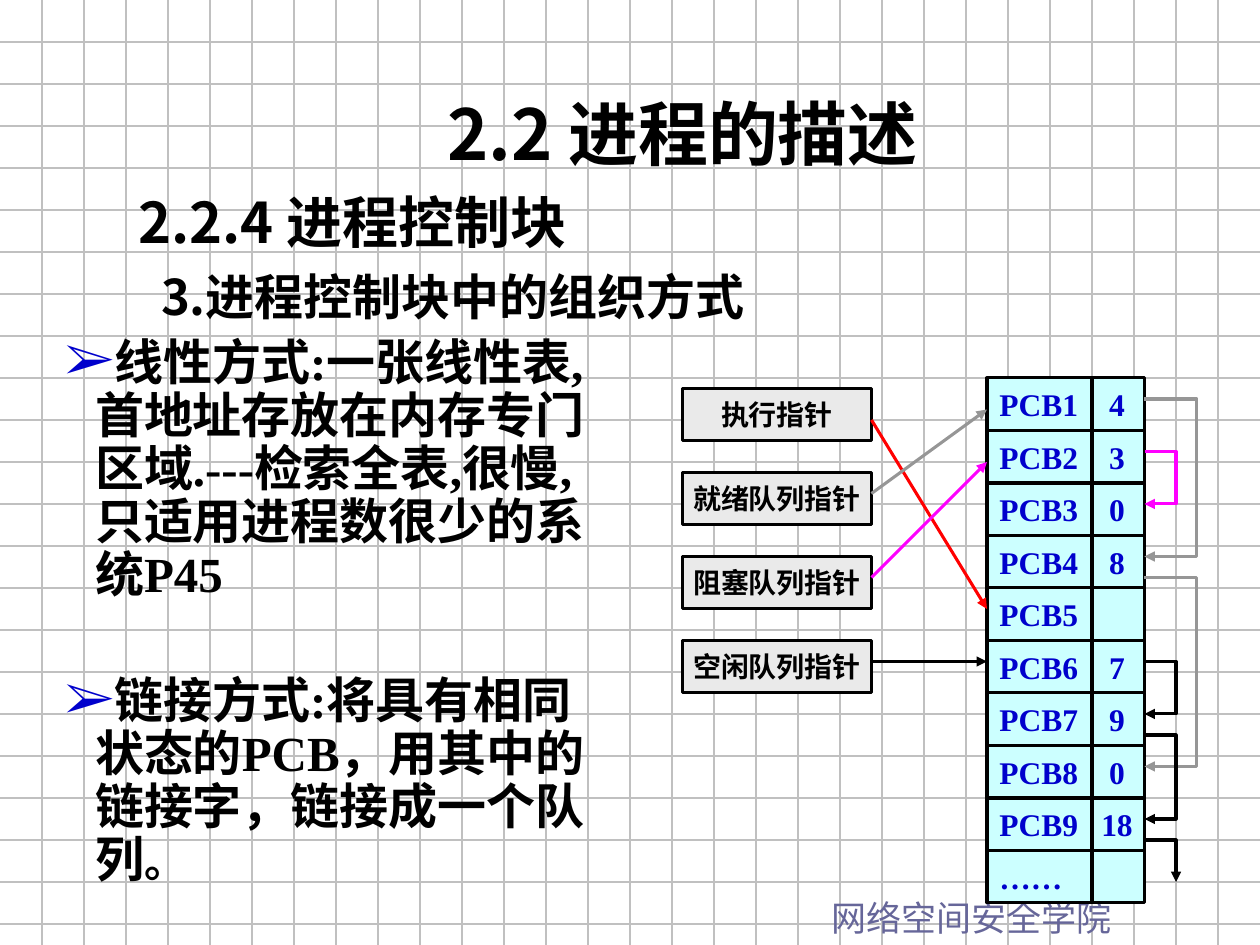
from lxml import etree
from pptx import Presentation
from pptx.dml.color import RGBColor
from pptx.enum.shapes import MSO_CONNECTOR, MSO_SHAPE
from pptx.enum.text import MSO_ANCHOR, PP_ALIGN
from pptx.oxml.ns import qn
from pptx.util import Cm, Pt

LEFT, CENTER = PP_ALIGN.LEFT, PP_ALIGN.CENTER
STRAIGHT = MSO_CONNECTOR.STRAIGHT
RECTANGLE = MSO_SHAPE.RECTANGLE
TOP, MIDDLE = MSO_ANCHOR.TOP, MSO_ANCHOR.MIDDLE

COLORS = {
    "black": "000000", "grid": "C0C0C0", "footer": "666699",
    "blue": "0000CC", "cyan": "CCFFFF", "pale": "EAEAEA",
    "red": "FF0000", "gray": "969696", "magenta": "FF00FF",
}
TIMES, SANS_JP, SANS_SC = "Times New Roman", "Noto Sans CJK JP", "Noto Sans CJK SC"
EAST_ASIAN = {TIMES: SANS_SC, SANS_JP: SANS_JP, SANS_SC: SANS_SC}

TITLE = "2.2 进程的描述"
FOOTER = "网络空间安全学院"
# Each heading: size, left margin in cm, spans of (text, font)
HEADINGS = [
    (32, 0, [("2.2.4 ", SANS_SC), ("进程控制块", TIMES)]),
    (28, 0.46, [("3.进程控制块中的", SANS_SC), ("组织方式", TIMES)]),
]
# Each point: space before, spans of (text, size)
POINTS = [
    (0, [("线性方式:一张线性表,首地址存放在内存专门区域.---检索全表,很慢,只适用进程数很少的系统P45", 28)]),
    (42, [("链接方式:将具有相同状态的PCB，用其中的链接字，链接成一个队列", 28), ("。", 24)]),
]
POINT_LINE_HEIGHT = 30.3

# The drawing sits on a lattice of UNIT steps, twelve to the inch.
UNIT = Cm(2.54) / 12
SLIDE_WIDTH, SLIDE_HEIGHT, GRID_STEP = 120, 90, 4
POINTER_LEFT, POINTER_TOP, POINTER_WIDTH, POINTER_STEP = 65, 37, 18, 8
BLOCK_LEFT, BLOCK_TOP, BLOCK_WIDTH, DIVIDER = 94, 36, 15, 104
ROW_HEIGHT = 5
BLOCK_RIGHT = BLOCK_LEFT + BLOCK_WIDTH

POINTERS = ["执行指针", "就绪队列指针", "阻塞队列指针", "空闲队列指针"]
BLOCKS = [("PCB1", "4"), ("PCB2", "3"), ("PCB3", "0"), ("PCB4", "8"), ("PCB5", ""),
          ("PCB6", "7"), ("PCB7", "9"), ("PCB8", "0"), ("PCB9", "18"), ("……", "")]
# Start height, end height, colour
POINTER_ARROWS = [(40, 58, "red"), (47, 39, "gray"), (55, 44, "magenta"), (63, 63, "black")]
# Start height, end height, reach to the right, colour
LINKS = [(38, 53, 5, "gray"), (43, 48, 3, "magenta"), (55, 73, 5, "gray"),
         (63, 68, 3, "black"), (70, 78, 3, "black")]
LAST_LINK = (80, 84, 3, "black")


def units(*values):
    return [round(value * UNIT) for value in values]


def rgb(name):
    return RGBColor.from_string(COLORS[name])


def add_span(para, text, font_name, size, color="black", bold=True):
    span = para.add_run()
    span.text = text
    font = span.font
    font.name, font.size, font.bold = font_name, Pt(size), bold
    font.color.rgb = rgb(color)
    east_asian = etree.SubElement(span._r.get_or_add_rPr(), qn("a:ea"))
    east_asian.set("typeface", EAST_ASIAN[font_name])


def set_indent(para, margin, first_line=0):
    properties = para._p.get_or_add_pPr()
    properties.set("marL", str(Cm(margin)))
    properties.set("indent", str(Cm(first_line)))
    return properties


def add_bullet(properties):
    properties.set("hangingPunct", "0")
    color = etree.SubElement(properties, qn("a:buClr"))
    etree.SubElement(color, qn("a:srgbClr")).set("val", COLORS["blue"])
    etree.SubElement(properties, qn("a:buSzPct")).set("val", "110000")
    etree.SubElement(properties, qn("a:buFont")).set("typeface", TIMES)
    etree.SubElement(properties, qn("a:buChar")).set("char", "➢")


def add_center_tab(para, position):
    tabs = etree.SubElement(para._p.get_or_add_pPr(), qn("a:tabLst"))
    tab = etree.SubElement(tabs, qn("a:tab"))
    tab.set("pos", str(Cm(position)))
    tab.set("algn", "ctr")


def add_text_box(slide, left, top, width, height):
    frame = slide.shapes.add_textbox(*units(left, top, width, height)).text_frame
    frame.word_wrap = True
    frame.vertical_anchor = TOP
    return frame


def style_line(shape, color, width=1.75, arrow=False):
    shape.line.color.rgb = rgb(color)
    shape.line.width = Pt(width)
    if arrow:
        line = shape._element.spPr.find(qn("a:ln"))
        etree.SubElement(line, qn("a:tailEnd")).set("type", "triangle")


def add_line(slide, start, end, color, width=1.75, arrow=False):
    line = slide.shapes.add_connector(STRAIGHT, *units(*start, *end))
    style_line(line, color, width, arrow)
    etree.SubElement(line._element.spPr, qn("a:effectLst"))


def add_bent_arrow(slide, points, color):
    corners = [units(*point) for point in points]
    builder = slide.shapes.build_freeform(*corners[0])
    builder.add_line_segments(corners[1:], close=False)
    arrow = builder.convert_to_shape()
    arrow.shadow.inherit = False
    arrow.fill.background()
    style_line(arrow, color, arrow=True)


def add_cell(slide, left, top, width, fill, align):
    """Draw one outlined rectangle and return its paragraph."""
    box = slide.shapes.add_shape(RECTANGLE, *units(left, top, width, ROW_HEIGHT))
    box.shadow.inherit = False
    box.fill.solid()
    box.fill.fore_color.rgb = rgb(fill)
    style_line(box, "black")
    frame = box.text_frame
    frame.word_wrap = align == LEFT
    frame.margin_right = 0 if align == LEFT else frame.margin_left
    frame.vertical_anchor = MIDDLE
    para = frame.paragraphs[0]
    para.alignment = align
    return para


def add_grid(slide):
    for y in range(GRID_STEP, SLIDE_HEIGHT, GRID_STEP):
        add_line(slide, (0, y), (SLIDE_WIDTH, y), "grid", 0.75)
    for x in range(GRID_STEP, SLIDE_WIDTH, GRID_STEP):
        add_line(slide, (x, 0), (x, SLIDE_HEIGHT), "grid", 0.75)


def add_texts(slide):
    footer = add_text_box(slide, 78, 84.8, 42, 5.2).paragraphs[0]
    add_span(footer, FOOTER, SANS_JP, 20, "footer", bold=False)

    title = add_text_box(slide, 17, 8, 96, 9.2).paragraphs[0]
    title.alignment = CENTER
    add_span(title, TITLE, SANS_JP, 40)

    frame = add_text_box(slide, 12, 16, 103, 15.6)
    for index, (size, margin, spans) in enumerate(HEADINGS):
        para = frame.add_paragraph() if index else frame.paragraphs[0]
        set_indent(para, margin)
        para.line_spacing = 1.2
        for text, font_name in spans:
            add_span(para, text, font_name, size)

    frame = add_text_box(slide, 5, 31.5, 55, 48.7)
    for index, (space, spans) in enumerate(POINTS):
        para = frame.add_paragraph() if index else frame.paragraphs[0]
        add_bullet(set_indent(para, 0.61, -0.61))
        para.line_spacing = Pt(POINT_LINE_HEIGHT)
        if space:
            para.space_before = Pt(space)
        for text, size in spans:
            add_span(para, text, TIMES, size)


def add_diagram(slide):
    for index, label in enumerate(POINTERS):
        top = POINTER_TOP + index * POINTER_STEP
        para = add_cell(slide, POINTER_LEFT, top, POINTER_WIDTH, "pale", CENTER)
        add_span(para, label, TIMES, 16)

    for index, (name, link) in enumerate(BLOCKS):
        top = BLOCK_TOP + index * ROW_HEIGHT
        para = add_cell(slide, BLOCK_LEFT, top, BLOCK_WIDTH, "cyan", LEFT)
        if link:
            add_center_tab(para, 2.37)
        add_span(para, f"{name}\t{link}" if link else name, TIMES, 18, "blue")

    bottom = BLOCK_TOP + len(BLOCKS) * ROW_HEIGHT
    add_line(slide, (DIVIDER, BLOCK_TOP), (DIVIDER, bottom), "black")
    for start, end, color in POINTER_ARROWS:
        add_line(slide, (POINTER_LEFT + POINTER_WIDTH, start), (BLOCK_LEFT, end), color, arrow=True)
    for link in LINKS + [LAST_LINK]:
        start, end, reach, color = link
        outer = BLOCK_RIGHT + reach
        points = [(BLOCK_RIGHT, start), (outer, start), (outer, end)]
        if link != LAST_LINK:
            points.append((BLOCK_RIGHT, end))
        add_bent_arrow(slide, points, color)


def main():
    deck = Presentation()
    deck.slide_width, deck.slide_height = units(SLIDE_WIDTH, SLIDE_HEIGHT)
    slide = deck.slides.add_slide(deck.slide_layouts[6])
    add_grid(slide)
    add_texts(slide)
    add_diagram(slide)
    deck.save("out.pptx")


if __name__ == "__main__":
    main()
